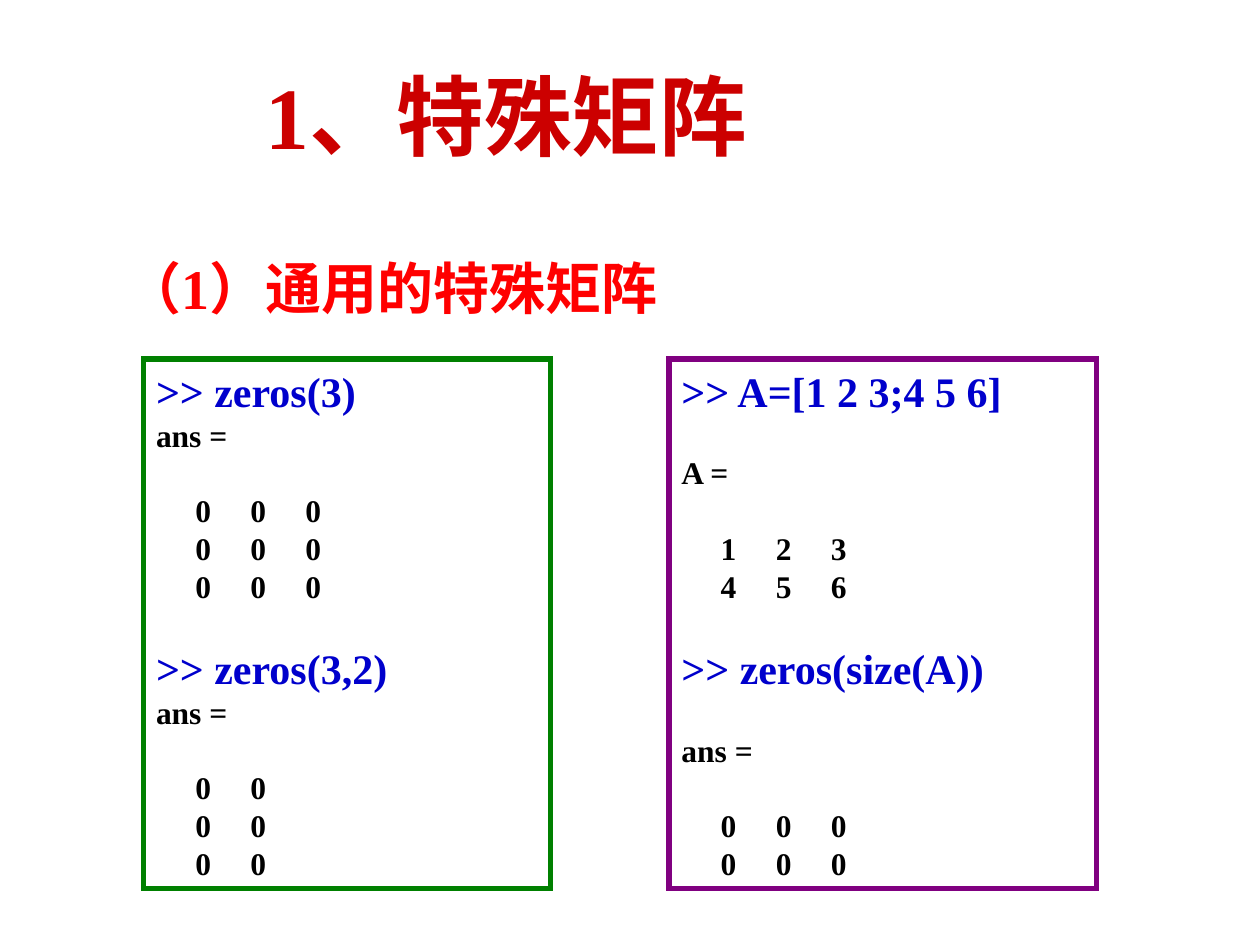
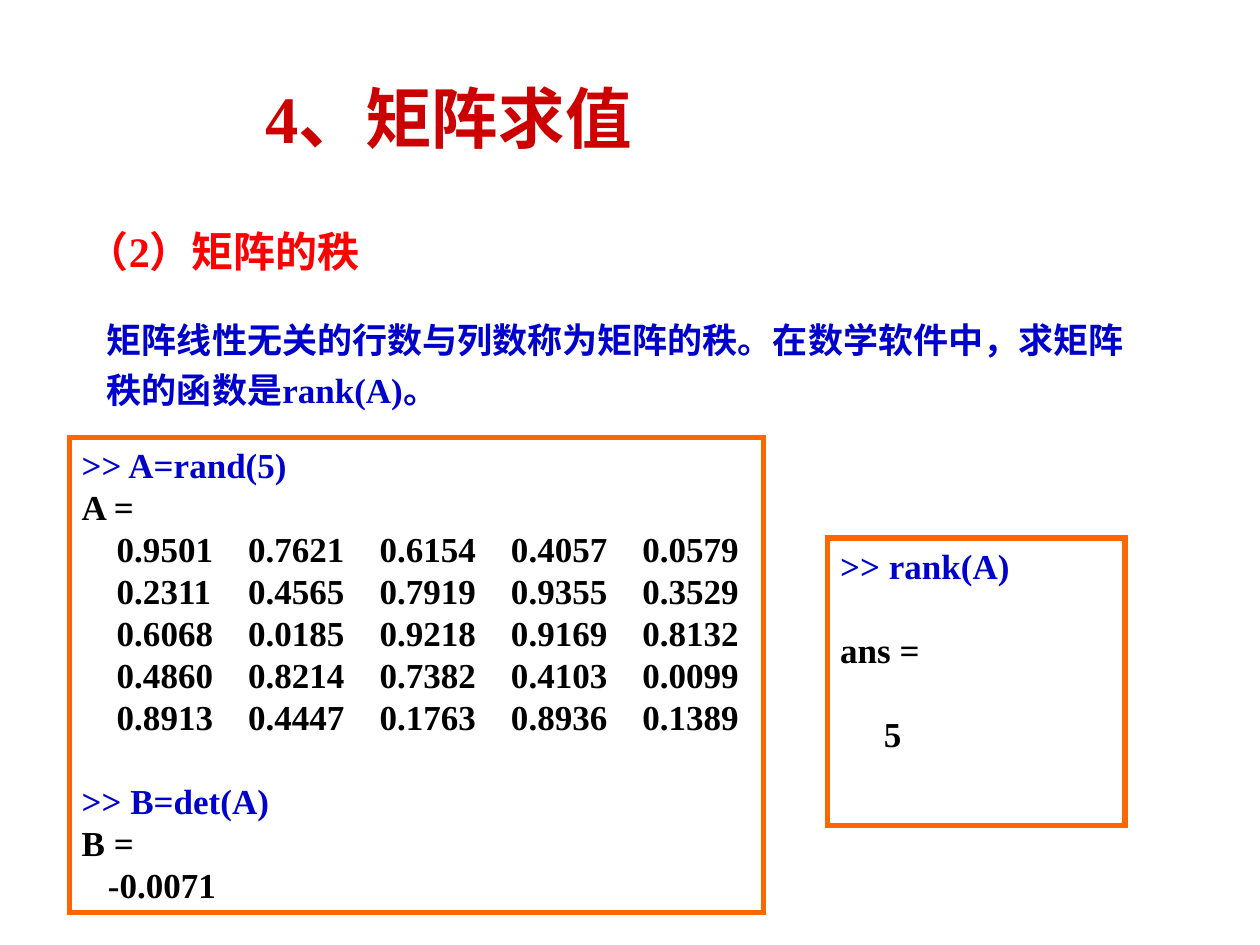
"""Build two slides on special matrices and matrix evaluation."""
from lxml import etree
from pptx import Presentation, util as u
from pptx.dml.color import RGBColor
from pptx.enum import shapes, text
from pptx.oxml import ns

COLORS = {
    "title": "CC0000", "heading": "FF0000", "command": "0000CC", "output": "000000",
    "green": "008000", "purple": "800080", "orange": "FF6600",
}
FONT = "Times New Roman"
CELL = u.Inches(0.1)
LEADING = 1.2
MINUS_WIDTH = 0.7


def grid(*cells):
    """Convert columns and rows of a 100 by 75 grid to lengths."""
    return [round(c * CELL) for c in cells]


def color(name):
    """Return a named colour."""
    return RGBColor.from_string(COLORS[name])


def style(p, size, name):
    """Set the bold font of a paragraph."""
    p.font.name, p.font.size, p.font.bold = FONT, u.Pt(size), True
    p.font.color.rgb = color(name)


def add_text(s, area, content, size, name, anchor=text.MSO_ANCHOR.TOP, spacing=1.0, before=0):
    """Add a wrapped one-paragraph text box."""
    tf = s.shapes.add_textbox(*grid(*area)).text_frame
    tf.word_wrap, tf.vertical_anchor = True, anchor
    p = tf.paragraphs[0]
    p.line_spacing, p.space_before = spacing, u.Pt(before)
    p.add_run().text = content
    style(p, size, name)


def add_title(s, top, content, size):
    """Add the slide title."""
    add_text(s, (20.1, top, 74.9, 12.5), content, size, "title", text.MSO_ANCHOR.MIDDLE)


def set_tabs(p, values, indent, step):
    """Give a matrix row equally spaced tab stops, with minus signs hanging."""
    tabs = etree.SubElement(p._p.get_or_add_pPr(), ns.qn("a:tabLst"))
    for i, value in enumerate(values):
        hang = MINUS_WIDTH if value.startswith("-") else 0
        pos = grid(indent + i * step - hang)[0]
        etree.SubElement(tabs, ns.qn("a:tab"), pos=str(pos), algn="l")


def add_frame(s, area, border):
    """Add an unfilled rectangle with sharp corners."""
    sp = s.shapes.add_shape(shapes.MSO_SHAPE.RECTANGLE, *grid(*area))
    sp.shadow.inherit = False
    sp.fill.background()
    sp.line.color.rgb, sp.line.width = color(border), u.Pt(3)
    etree.SubElement(sp.line._get_or_add_ln(), ns.qn("a:miter"), lim="800000")
    return sp


def add_session(s, area, border, lines, size, command_size, indent, step=0):
    """Add a framed session; None leaves a gap and a list is a matrix row."""
    tf = add_frame(s, area, border).text_frame
    tf.word_wrap, tf.vertical_anchor = True, text.MSO_ANCHOR.TOP
    p, gap = tf.paragraphs[0], 0
    for line in lines:
        if line is None:
            gap = LEADING * size
            continue
        if p.runs:
            p = tf.add_paragraph()
        if isinstance(line, list):
            set_tabs(p, line, indent, step)
            line = "".join("\t" + value for value in line)
        is_command = line.startswith(">>")
        line_size = command_size if is_command else size
        p.alignment = text.PP_ALIGN.LEFT
        p.line_spacing, p.space_before = u.Pt(LEADING * line_size), u.Pt(gap)
        p.add_run().text = line
        style(p, line_size, "command" if is_command else "output")
        gap = 0


def matrix(*rows):
    """Split rows of values into lists."""
    return [row.split() for row in rows]


def special_matrices(s):
    """Fill the slide on special matrices."""
    add_title(s, 2.8, "1、特殊矩阵", 50)
    add_text(s, (9, 18.6, 86, 7.9), "（1）通用的特殊矩阵", 32, "heading", spacing=1.2)
    square = [">> zeros(3)", "ans =", None, *matrix(*["0 0 0"] * 3), None,
              ">> zeros(3,2)", "ans =", None, *matrix(*["0 0"] * 3)]
    sized = [">> A=[1 2 3;4 5 6]", None, "A =", None, *matrix("1 2 3", "4 5 6"), None,
             ">> zeros(size(A))", None, "ans =", None, *matrix(*["0 0 0"] * 2)]
    for left, width, border, lines in ((11.4, 32.3, "green", square),
                                       (53.1, 33.9, "purple", sized)):
        add_session(s, (left, 28.5, width, 42), border, lines, 18, 24, 3.12, 4.37)


def matrix_rank(s):
    """Fill the slide on the rank of a matrix."""
    add_title(s, 3, "4、矩阵求值", 38)
    add_text(s, (5.9, 17, 86.5, 5.5), "（2）矩阵的秩", 24, "heading", spacing=1.1)
    add_text(s, (7.5, 24.1, 83.5, 9),
             "矩阵线性无关的行数与列数称为矩阵的秩。在数学软件中，求矩阵秩的函数是rank(A)。",
             20, "command", spacing=1.2, before=12.5)
    values = matrix("0.9501 0.7621 0.6154 0.4057 0.0579",
                    "0.2311 0.4565 0.7919 0.9355 0.3529",
                    "0.6068 0.0185 0.9218 0.9169 0.8132",
                    "0.4860 0.8214 0.7382 0.4103 0.0099",
                    "0.8913 0.4447 0.1763 0.8936 0.1389")
    random = [">> A=rand(5)", "A =", *values, None, ">> B=det(A)", "B =", ["-0.0071"]]
    add_session(s, (5.5, 34.7, 55.1, 37.7), "orange", random, 20, 20, 2.78, 10.43)
    rank = [">> rank(A)", None, "ans =", None, ["5"]]
    add_session(s, (65.7, 42.7, 23.6, 22.8), "orange", rank, 20, 20, 3.47)


def main():
    """Build and save the presentation."""
    prs = Presentation()
    prs.slide_width, prs.slide_height = grid(100, 75)
    for fill_slide in (special_matrices, matrix_rank):
        fill_slide(prs.slides.add_slide(prs.slide_layouts[6]))
    prs.save("out.pptx")


if __name__ == "__main__":
    main()
